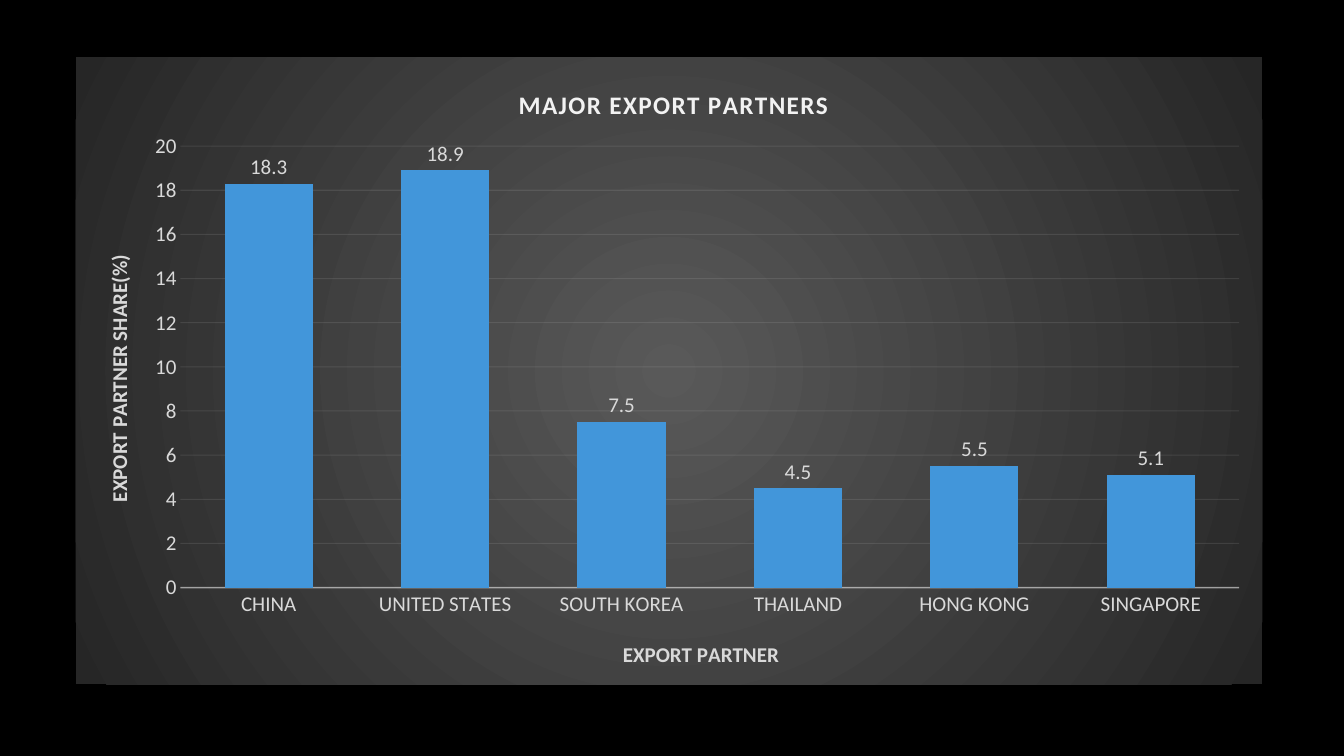
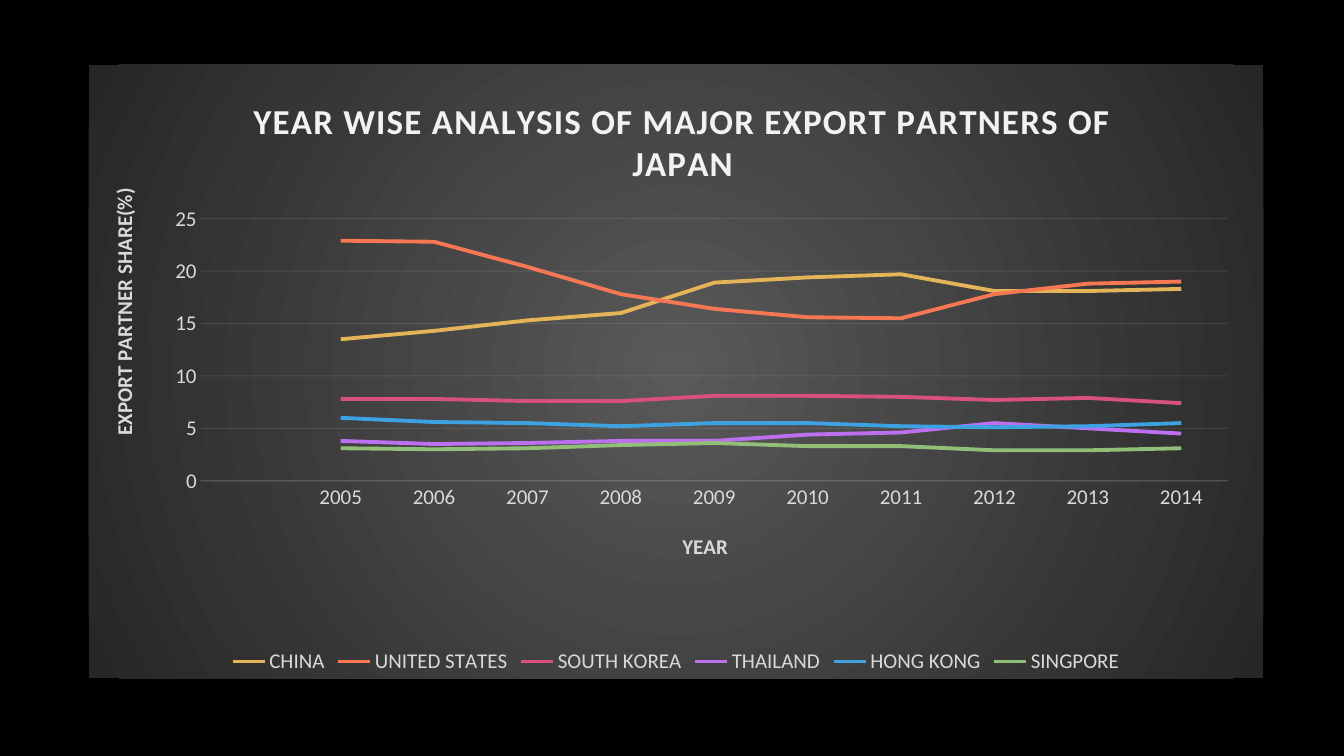
"""Build two dark slides charting the major export partners of Japan."""
from dataclasses import dataclass

from lxml import etree
from pptx import Presentation
from pptx import util as u
from pptx.chart import data as chart_data
from pptx.dml.color import RGBColor
from pptx.enum import chart as ec
from pptx.oxml import parse_xml
from pptx.oxml.ns import nsdecls, qn

PX = 9144
FONT = "Calibri"
LABEL_SIZE = 15
COLORS = {
    "backdrop": "000000",
    "panel_centre": "595959",
    "panel_edge": "262626",
    "heading": "F2F2F2",
    "label": "D9D9D9",
    "rule": "F2F2F2",
    "share": "4296DA",
    "CHINA": "E5B458",
    "UNITED STATES": "F77754",
    "SOUTH KOREA": "D8507E",
    "THAILAND": "BC70EE",
    "HONG KONG": "3CA2E2",
    "SINGPORE": "91BF77",
}
PARTNER_SHARES = {
    "CHINA": 18.3, "UNITED STATES": 18.9, "SOUTH KOREA": 7.5,
    "THAILAND": 4.5, "HONG KONG": 5.5, "SINGAPORE": 5.1,
}
YEARLY_SHARES = {
    "CHINA": (13.5, 14.3, 15.3, 16, 18.9, 19.4, 19.7, 18.1, 18.1, 18.3),
    "UNITED STATES": (22.9, 22.8, 20.4, 17.8, 16.4, 15.6, 15.5, 17.8, 18.8, 19),
    "SOUTH KOREA": (7.8, 7.8, 7.6, 7.6, 8.1, 8.1, 8, 7.7, 7.9, 7.4),
    "THAILAND": (3.8, 3.5, 3.6, 3.8, 3.8, 4.4, 4.6, 5.5, 5, 4.5),
    "HONG KONG": (6, 5.6, 5.5, 5.2, 5.5, 5.5, 5.2, 5.1, 5.2, 5.5),
    "SINGPORE": (3.1, 3, 3.1, 3.4, 3.6, 3.3, 3.3, 2.9, 2.9, 3.1),
}


@dataclass(frozen=True)
class Box:
    left: int
    top: int
    width: int = 0
    height: int = 0


@dataclass(frozen=True)
class Caption:
    words: str
    place: Box
    size: int = LABEL_SIZE


@dataclass(frozen=True)
class Panel:
    kind: ec.XL_CHART_TYPE
    frame: Box
    plot: Box
    heading: Caption
    category: Caption
    value: Caption
    top_value: int
    step: int
    axis_width: float
    axis_opacity: int


PARTNERS = Panel(
    kind=ec.XL_CHART_TYPE.COLUMN_CLUSTERED,
    frame=Box(75, 57, 1177, 622),
    plot=Box(179, 145, 1050, 438),
    heading=Caption("MAJOR EXPORT PARTNERS", Box(510, 82), 18),
    category=Caption("EXPORT PARTNER", Box(614, 631)),
    value=Caption("EXPORT PARTNER SHARE(%)", Box(100, 249)),
    top_value=20, step=2, axis_width=1, axis_opacity=54,
)
YEARS = Panel(
    kind=ec.XL_CHART_TYPE.LINE,
    frame=Box(88, 64, 1165, 609),
    plot=Box(199, 217, 1019, 260),
    heading=Caption("YEAR WISE ANALYSIS OF MAJOR EXPORT PARTNERS OF JAPAN",
                    Box(245, 91), 25),
    category=Caption("YEAR", Box(673, 524)),
    value=Caption("EXPORT PARTNER SHARE(%)", Box(105, 183)),
    top_value=25, step=5, axis_width=0.75, axis_opacity=10,
)


def rgb(name: str) -> RGBColor:
    return RGBColor.from_string(COLORS[name])


def style_font(font, *, size: int = LABEL_SIZE, color: str = "label",
               bold: bool = False) -> None:
    font.name = FONT
    font.size = u.Pt(size)
    font.bold = bold
    font.color.rgb = rgb(color)


def write(frame, words: str, *, spacing: int = 0, **style) -> None:
    run = frame.paragraphs[0].add_run()
    run.text = words
    style_font(run.font, **style)
    run._r.get_or_add_rPr().set("spc", str(spacing))


def layout(place: Box, frame: Box):
    entries = []
    if place.width:
        entries.append(("layoutTarget", "inner"))
    entries += [("xMode", "edge"), ("yMode", "edge"),
                ("x", (place.left - frame.left) / frame.width),
                ("y", (place.top - frame.top) / frame.height)]
    if place.width:
        entries += [("w", place.width / frame.width),
                    ("h", place.height / frame.height)]
    root = parse_xml(f"<c:layout {nsdecls('c')}/>")
    manual = etree.SubElement(root, qn("c:manualLayout"))
    for tag, val in entries:
        etree.SubElement(manual, qn(f"c:{tag}")).set("val", str(val))
    return root


def position(owner, place: Box, frame: Box) -> None:
    for old in owner.findall(qn("c:layout")):
        owner.remove(old)
    words = owner.find(qn("c:tx"))
    owner.insert(0 if words is None else 1, layout(place, frame))


def style_rule(line, width: float) -> None:
    line.color.rgb = rgb("rule")
    line.width = u.Pt(width)


def fade(chart, route: str, opacity: int) -> None:
    for color in chart.element.xpath(f".//{route}/c:spPr/a:ln//a:srgbClr"):
        etree.SubElement(color, qn("a:alpha")).set("val", str(opacity * 1000))


def fill_panel(chart) -> None:
    stops = "".join(
        f'<a:gs pos="{pos}"><a:srgbClr val="{COLORS[name]}"/></a:gs>'
        for pos, name in ((0, "panel_centre"), (100000, "panel_edge")))
    chart.element.find(qn("c:chart")).addnext(parse_xml(
        f"<c:spPr {nsdecls('c', 'a')}><a:gradFill><a:gsLst>{stops}</a:gsLst>"
        '<a:path path="circle"><a:fillToRect l="50000" t="50000" r="50000" '
        'b="50000"/></a:path></a:gradFill><a:ln><a:noFill/></a:ln></c:spPr>'))


def add_panel(deck, panel: Panel, categories, series):
    slide = deck.slides.add_slide(deck.slide_layouts[6])
    slide.background.fill.solid()
    slide.background.fill.fore_color.rgb = rgb("backdrop")
    shares = chart_data.CategoryChartData()
    shares.categories = categories
    for name, values in series.items():
        shares.add_series(name, values)
    frame = panel.frame
    chart = slide.shapes.add_chart(
        panel.kind, frame.left * PX, frame.top * PX,
        frame.width * PX, frame.height * PX, shares).chart
    style_font(chart.font)
    fill_panel(chart)
    chart.has_legend = False
    chart.plots[0].vary_by_categories = False

    write(chart.chart_title.text_frame, panel.heading.words,
          size=panel.heading.size, color="heading", bold=True, spacing=100)
    for axis, caption in ((chart.category_axis, panel.category),
                          (chart.value_axis, panel.value)):
        write(axis.axis_title.text_frame, caption.words,
              size=caption.size, bold=True)
        style_font(axis.tick_labels.font)
        axis.major_tick_mark = axis.minor_tick_mark = ec.XL_TICK_MARK.NONE
    for route, place in (("c:title", panel.heading.place),
                         ("c:plotArea/c:catAx/c:title", panel.category.place),
                         ("c:plotArea/c:valAx/c:title", panel.value.place),
                         ("c:plotArea", panel.plot)):
        position(chart.element.xpath(f"c:chart/{route}")[0], place, frame)
    turned = chart.element.xpath(".//c:valAx/c:title//a:bodyPr")[0]
    turned.set("rot", "-5400000")
    turned.set("vert", "horz")

    scale = chart.value_axis
    scale.minimum_scale, scale.maximum_scale = 0, panel.top_value
    scale.major_unit = panel.step
    scale.has_major_gridlines = True
    scale.format.line.fill.background()
    style_rule(scale.major_gridlines.format.line, 0.75)
    style_rule(chart.category_axis.format.line, panel.axis_width)
    fade(chart, "c:majorGridlines", 10)
    fade(chart, "c:catAx", panel.axis_opacity)
    return chart


def add_partners(deck) -> None:
    chart = add_panel(deck, PARTNERS, list(PARTNER_SHARES),
                      {"Series 1": list(PARTNER_SHARES.values())})
    bars = chart.plots[0]
    bars.gap_width, bars.overlap = 100, -24
    fill = bars.series[0].format.fill
    fill.solid()
    fill.fore_color.rgb = rgb("share")
    bars.has_data_labels = True
    labels = bars.data_labels
    labels.show_value = True
    labels.position = ec.XL_LABEL_POSITION.OUTSIDE_END
    style_font(labels.font)


def add_years(deck) -> None:
    years = [str(year) for year in range(2005, 2015)]
    chart = add_panel(deck, YEARS, ["", *years],
                      {name: (None, *values)
                       for name, values in YEARLY_SHARES.items()})
    for partner in chart.plots[0].series:
        partner.smooth = False
        partner.marker.style = ec.XL_MARKER_STYLE.NONE
        partner.format.line.color.rgb = rgb(partner.name)
        partner.format.line.width = u.Pt(2.75)
    chart.has_legend = True
    chart.legend.position = ec.XL_LEGEND_POSITION.BOTTOM
    chart.legend.include_in_layout = False
    style_font(chart.legend.font)


def main() -> None:
    deck = Presentation()
    deck.slide_width, deck.slide_height = 1333 * PX, 750 * PX
    add_partners(deck)
    add_years(deck)
    deck.save("out.pptx")


if __name__ == "__main__":
    main()
